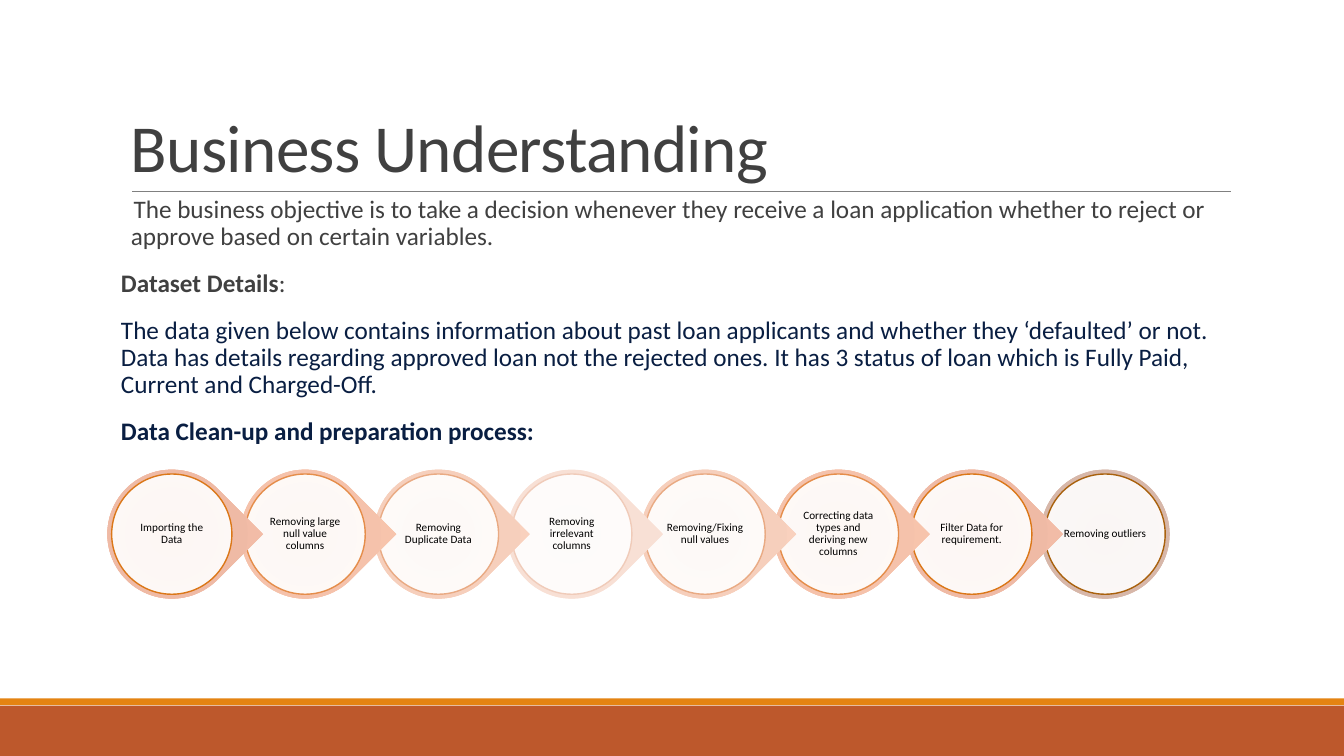
import pptx
import pptx.util
import pptx.dml.color
import pptx.enum.shapes
import pptx.enum.text
import pptx.oxml
import pptx.oxml.ns
from lxml import etree

Cm, Pt = pptx.util.Cm, pptx.util.Pt
SHAPE = pptx.enum.shapes.MSO_SHAPE
ANCHOR = pptx.enum.text.MSO_ANCHOR
ALIGN = pptx.enum.text.PP_ALIGN
FONT = "Calibri"
GREY, NAVY = "404040", "091E42"

TITLE = "Business Understanding"
# Each paragraph: colour, then (text, bold) spans
BODY = [
    (GREY, [("The business objective is to take a decision whenever they receive a loan "
             "application whether to reject or approve based on certain variables.", False)]),
    (GREY, [("Dataset Details", True), (":", False)]),
    (NAVY, [("The data given below contains information about past loan applicants and "
             "whether they ‘defaulted’ or not. Data has details regarding approved loan not "
             "the rejected ones. It has 3 status of loan which is Fully Paid, Current and "
             "Charged-Off.", False)]),
    (NAVY, [("Data Clean-up and preparation process:", True)]),
]
# Each tone: three gradient colours of the ring, then the disc outline
TONES = {
    "strong": ("EAAB92", "EFBAA5", "F7BFAA", "DB7718"),
    "medium": ("F0B599", "F5C2AB", "FCC7AF", "E58D4A"),
    "light": ("F0C3AD", "F6CFBC", "FCD3BF", "E9AA83"),
    "pale": ("F1D5C9", "F8E0D5", "FCE2D7", "F0CBB9"),
    "brown": ("CBA696", "D4B5A7", "DCBCAE", "A9610D"),
}
STEPS = [
    ("Importing the Data", "strong"),
    ("Removing large null value columns", "medium"),
    ("Removing Duplicate Data", "light"),
    ("Removing irrelevant columns", "pale"),
    ("Removing/Fixing null values", "light"),
    ("Correcting data types and deriving new columns", "medium"),
    ("Filter Data for requirement.", "strong"),
    ("Removing outliers", "brown"),
]
# Step chain, in cm
FIRST_X, CENTRE_Y, PITCH = 4.33, 13.46, 3.36
RING, DISC, LABEL = 3.25, 3.03, 2.16

deck = pptx.Presentation()
deck.slide_width, deck.slide_height = Cm(33.87), Cm(19.05)
page = deck.slides.add_slide(deck.slide_layouts[6])


def colour(code):
    return pptx.dml.color.RGBColor.from_string(code)


def add_shape(kind, left, top, width, height, fill=None):
    shape = page.shapes.add_shape(kind, Cm(left), Cm(top), Cm(width), Cm(height))
    shape.shadow.inherit = False
    shape.line.fill.background()
    if fill:
        shape.fill.solid()
        shape.fill.fore_color.rgb = colour(fill)
    return shape


def add_centred(kind, x, size, fill=None):
    return add_shape(kind, x - size / 2, CENTRE_Y - size / 2, size, size, fill)


def add_text(left, top, width, height, anchor, inset_x, inset_y):
    box = page.shapes.add_textbox(Cm(left), Cm(top), Cm(width), Cm(height))
    frame = box.text_frame
    frame.word_wrap = True
    frame.vertical_anchor = anchor
    frame.margin_left = frame.margin_right = Cm(inset_x)
    frame.margin_top = frame.margin_bottom = Cm(inset_y)
    return frame


def style(para, size, code, spacing):
    para.font.name, para.font.size = FONT, Pt(size)
    para.font.color.rgb = colour(code)
    para.line_spacing = spacing


def radial_fill(shape, colours):
    stops = "".join(f'<a:gs pos="{pos}"><a:srgbClr val="{code}"/></a:gs>'
                    for pos, code in zip((0, 45000, 100000), colours))
    gradient = pptx.oxml.parse_xml(
        f'<a:gradFill {pptx.oxml.ns.nsdecls("a")} rotWithShape="1"><a:gsLst>{stops}</a:gsLst>'
        '<a:path path="circle"><a:fillToRect l="100000" t="100000" r="100000" b="100000"/>'
        '</a:path></a:gradFill>')
    shape.element.spPr.find(pptx.oxml.ns.qn("a:prstGeom")).addnext(gradient)


# Footer bands and title rule
add_shape(SHAPE.RECTANGLE, 0, 17.78, 33.87, 1.27, "BD582C")
add_shape(SHAPE.RECTANGLE, 0, 17.6, 33.87, 0.17, "E48312")
rule = page.shapes.add_connector(pptx.enum.shapes.MSO_CONNECTOR.STRAIGHT,
                                 Cm(3.33), Cm(4.82), Cm(31.01), Cm(4.82))
rule.line.color.rgb = colour("808080")
rule.line.width = Pt(0.5)
etree.SubElement(rule.element.spPr, pptx.oxml.ns.qn("a:effectLst"))

# Title
para = add_text(3.05, 0.79, 27.94, 4.04, ANCHOR.BOTTOM, 0.25, 0.13).paragraphs[0]
para.text = TITLE
style(para, 48, GREY, 0.85)
para.runs[0].font._element.set("spc", "-50")

# Body
body = add_text(3.05, 4.83, 27.94, 11.18, ANCHOR.TOP, 0, 0.13)
for index, (code, spans) in enumerate(BODY):
    para = body.paragraphs[0] if index == 0 else body.add_paragraph()
    style(para, 18, code, 0.9)
    para.space_before, para.space_after = Pt(12), Pt(2)
    for words, bold in spans:
        span = para.add_run()
        span.text = words
        span.font.bold = bold

# The first body paragraph hangs on a blank bullet
properties = body.paragraphs[0]._p.get_or_add_pPr()
properties.set("marL", str(Cm(0.25)))
properties.set("indent", str(-Cm(0.25)))
bullet = etree.Element(pptx.oxml.ns.qn("a:buChar"), char=" ")
properties.find(pptx.oxml.ns.qn("a:spcAft")).addnext(bullet)

# Step chain, last step at the back
for index, (words, tone) in reversed(list(enumerate(STEPS))):
    x = FIRST_X + index * PITCH
    *ring_colours, outline = TONES[tone]
    if index == len(STEPS) - 1:
        ring = add_centred(SHAPE.OVAL, x, RING)
    else:
        ring = add_centred(SHAPE.TEAR, x, RING)
        ring.rotation = 45
    radial_fill(ring, ring_colours)

    disc = add_centred(SHAPE.OVAL, x, DISC, "FFFFFF")
    disc.line.color.rgb = colour(outline)
    disc.line.width = Pt(1)
    white = disc.element.spPr.find(".//" + pptx.oxml.ns.qn("a:srgbClr"))
    etree.SubElement(white, pptx.oxml.ns.qn("a:alpha"), val="90000")

    label = add_text(x - LABEL / 2, CENTRE_Y - LABEL / 2, LABEL, LABEL, ANCHOR.MIDDLE, 0.03, 0.03)
    para = label.paragraphs[0]
    para.text = words
    para.alignment = ALIGN.CENTER
    style(para, 8, "000000", 0.9)

deck.save("out.pptx")
